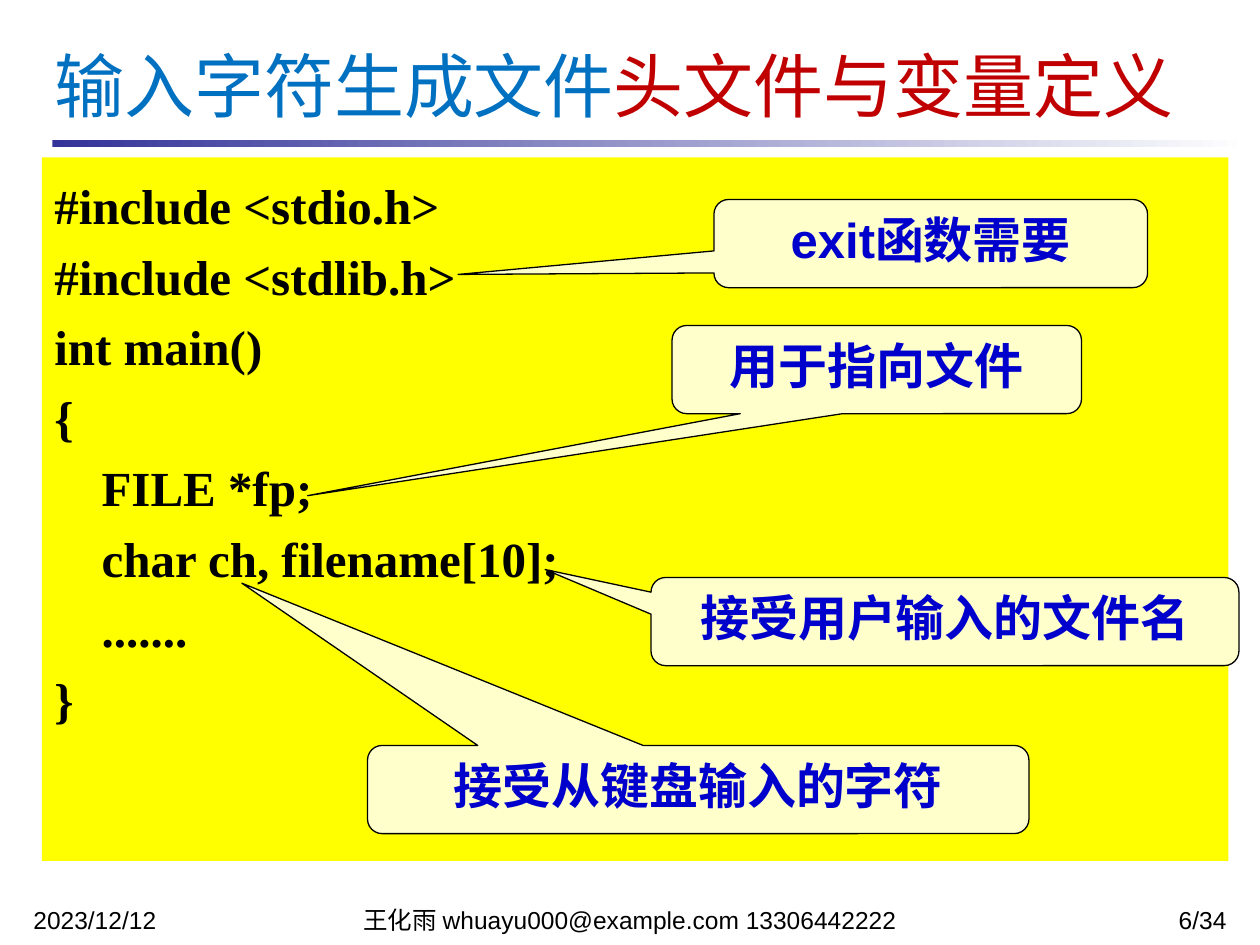
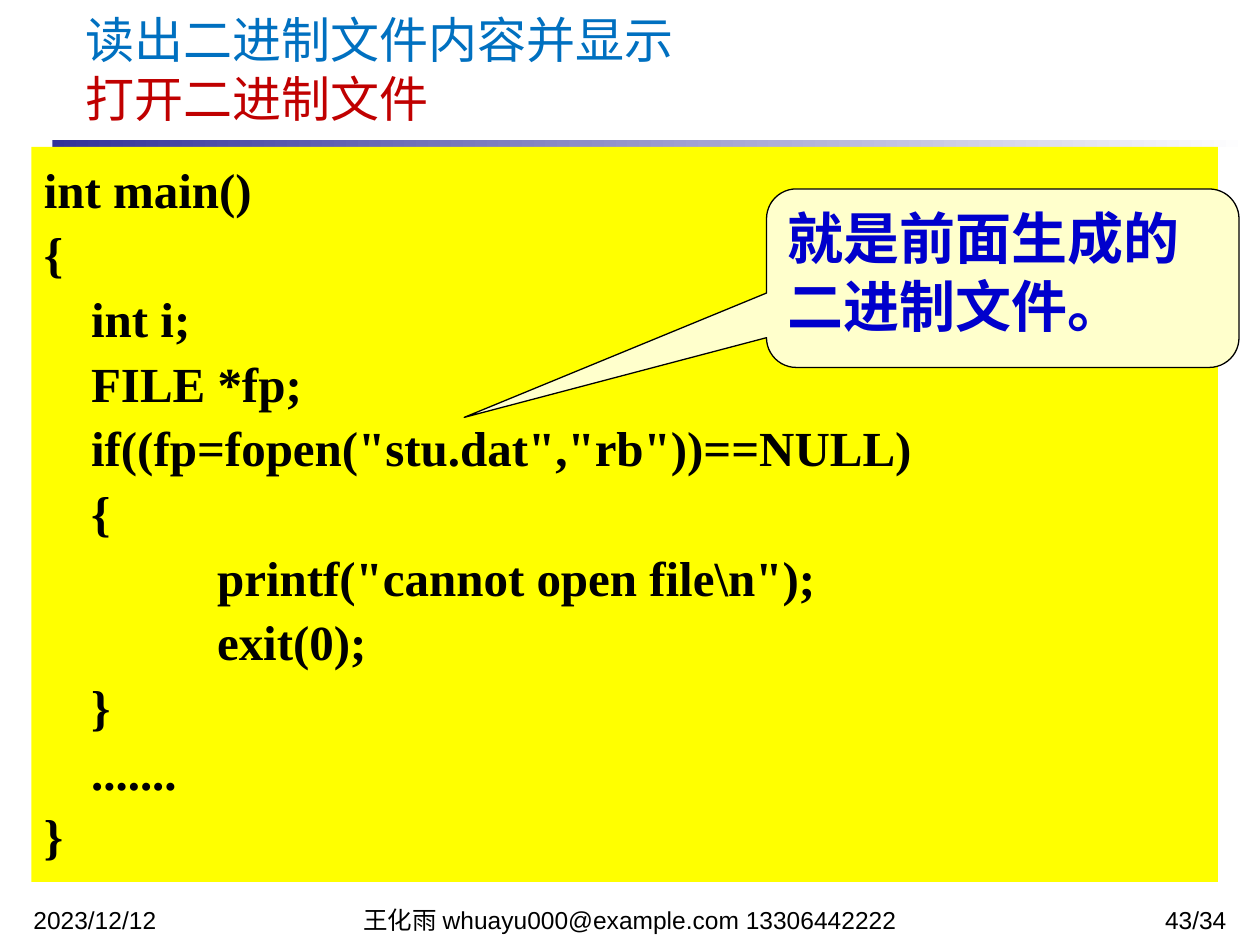
from pptx import Presentation, util as u
from pptx.dml.color import RGBColor
from pptx.enum import shapes, text

INDIGO = RGBColor(0x33, 0x33, 0x99)
WHITE = RGBColor(0xFF, 0xFF, 0xFF)
BLACK = RGBColor(0, 0, 0)
SKY = RGBColor(0x00, 0x70, 0xC0)
CRIMSON = RGBColor(0xC0, 0, 0)
YELLOW = RGBColor(0xFF, 0xFF, 0)
CREAM = RGBColor(0xFF, 0xFF, 0xCC)
ROYAL = RGBColor(0, 0, 0xCC)
SERIF, SANS = "Times New Roman", "Arial"
LEFT, CENTER, RIGHT = text.PP_ALIGN.LEFT, text.PP_ALIGN.CENTER, text.PP_ALIGN.RIGHT
TOP, MIDDLE = text.MSO_ANCHOR.TOP, text.MSO_ANCHOR.MIDDLE
RECT = shapes.MSO_SHAPE.RECTANGLE
CALLOUT = shapes.MSO_SHAPE.ROUNDED_RECTANGULAR_CALLOUT

deck = Presentation()
deck.slide_width, deck.slide_height = u.Inches(10), u.Inches(7.5)
COLUMN = deck.slide_width / 120
ROW = deck.slide_height / 90
HANGING = round(4.5 * COLUMN)
TAB = round(12 * COLUMN)


def place(slide, preset, area, fill=None):
    column, row, columns, rows = area
    part = slide.shapes.add_shape(preset, round(column * COLUMN), round(row * ROW),
                                  round(columns * COLUMN), round(rows * ROW))
    part.shadow.inherit = False
    part.line.fill.background()
    if fill is None:
        part.fill.background()
    else:
        part.fill.solid()
        part.fill.fore_color.rgb = fill
    return part


def write(part, lines, size, font, bold=False, align=LEFT, anchor=TOP, spacing=None):
    frame = part.text_frame
    frame.word_wrap = True
    frame.vertical_anchor = anchor
    for number, line in enumerate(lines):
        paragraph = frame.add_paragraph() if number else frame.paragraphs[0]
        paragraph.alignment = align
        if spacing:
            paragraph.line_spacing = spacing
        for words, color in line:
            run = paragraph.add_run()
            run.text = words
            run.font.size = u.Pt(size)
            run.font.name = font
            run.font.bold = bold
            run.font.color.rgb = color
    return frame.paragraphs


PAGES = [
    {
        "number": "6/34",
        "title": [[("输入字符生成文件", SKY), ("头文件与变量定义", CRIMSON)]],
        "title_area": (4, 3, 112, 10), "title_size": 40, "title_fill": None,
        "code_area": (4, 15, 113, 67), "code_spacing": 1.2,
        "code": [
            "#include <stdio.h>",
            "#include <stdlib.h>",
            "int main()",
            "{",
            "\tFILE *fp;",
            "\tchar ch, filename[10];",
            "\t.......",
            "}",
        ],
        "note_size": 28, "note_align": CENTER,
        "notes": [
            ("用于指向文件", (64, 31, 39, 8.4), (-1.39, 1.43)),
            ("exit函数需要", (68, 19, 41.3, 8.4), (-1.09, 0.35)),
            ("接受从键盘输入的字符", (35, 71, 63, 8.4), (-0.69, -2.34)),
            ("接受用户输入的文件名", (62, 55, 56, 8.4), (-0.68, -0.59)),
        ],
    },
    {
        "number": "43/34",
        "title": [[("读出二进制文件内容并显示", SKY)], [("打开二进制文件", CRIMSON)]],
        "title_area": (7, 2, 109, 9), "title_size": 28, "title_fill": WHITE,
        "code_area": (3, 14, 113, 70), "code_spacing": 1.1,
        "code": [
            "int main()",
            "{",
            "\tint i;",
            "\tFILE *fp;",
            '\tif((fp=fopen("stu.dat","rb"))==NULL)',
            "\t{",
            '\t\tprintf("cannot open file\\n");',
            "\t\texit(0);",
            "\t}",
            "\t.......",
            "}",
        ],
        "note_size": 32, "note_align": LEFT,
        "notes": [("就是前面生成的二进制文件。", (73, 18, 45, 17), (-1.14, 0.78))],
    },
]

for page in PAGES:
    slide = deck.slides.add_slide(deck.slide_layouts[6])

    band = place(slide, RECT, (5, 13.3, 114, 0.75))
    band.fill.gradient()
    band.fill.gradient_angle = 0
    for stop, color, position in zip(band.fill.gradient_stops, (INDIGO, WHITE), (0, 1)):
        stop.color.rgb = color
        stop.position = position

    for words, column, columns, align in [
        ("2023/12/12", 2, 28, LEFT),
        ("王化雨 whuayu000@example.com 13306442222", 31, 58, CENTER),
        (page["number"], 95, 23, RIGHT),
    ]:
        footer = place(slide, RECT, (column, 86.1, columns, 2.2))
        write(footer, [[(words, BLACK)]], 14, SANS, align=align, spacing=0.8)

    title = place(slide, RECT, page["title_area"], page["title_fill"])
    write(title, page["title"], page["title_size"], SERIF, anchor=MIDDLE)

    listing = place(slide, RECT, page["code_area"], YELLOW)
    code = [[(line, BLACK)] for line in page["code"]]
    for paragraph in write(listing, code, 28, SERIF, bold=True, spacing=page["code_spacing"]):
        indent = paragraph._p.get_or_add_pPr()
        indent.set("marL", str(HANGING))
        indent.set("indent", str(-HANGING))
        indent.set("defTabSz", str(TAB))

    for words, area, tip in page["notes"]:
        note = place(slide, CALLOUT, area, CREAM)
        note.line.color.rgb = BLACK
        note.line.width = u.Pt(0.75)
        note.adjustments[0], note.adjustments[1] = tip
        write(note, [[(words, ROYAL)]], page["note_size"], SANS, bold=True,
              align=page["note_align"])

deck.save("out.pptx")
